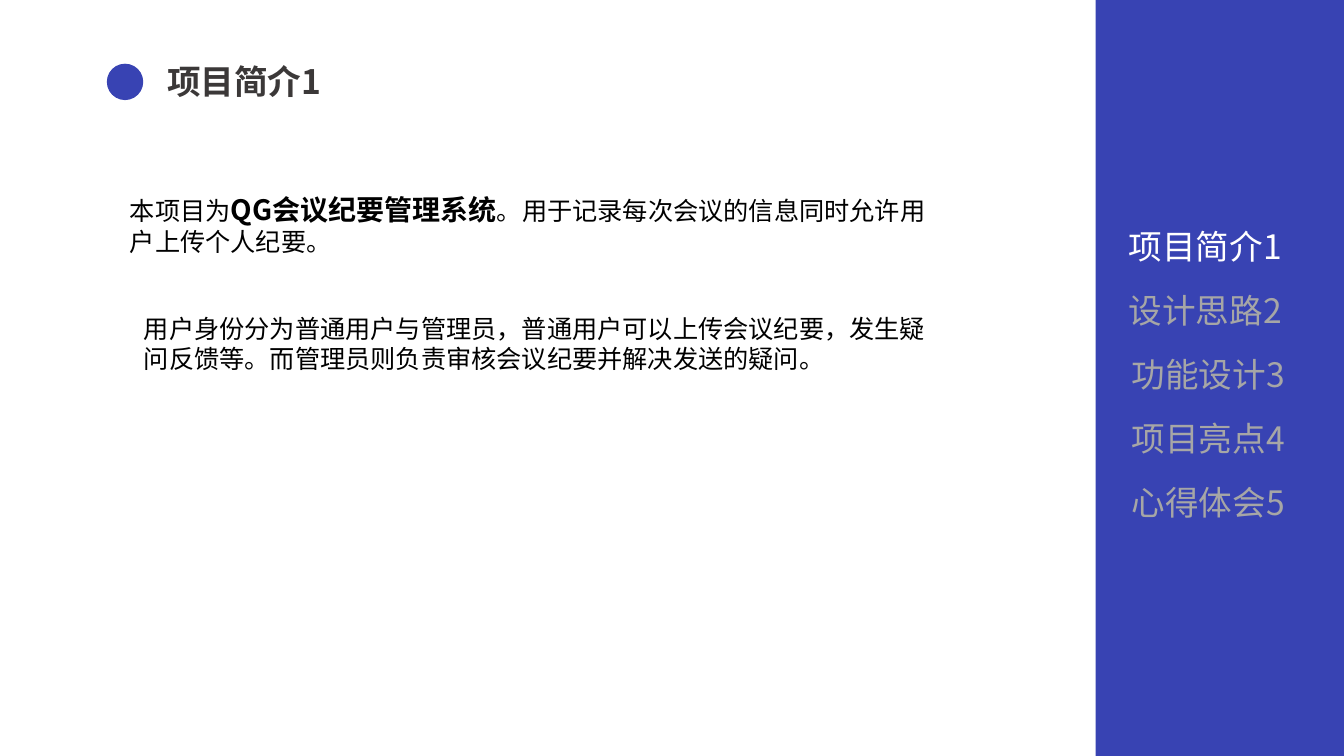
from collections import namedtuple
from dataclasses import dataclass

from lxml.etree import SubElement
from pptx import Presentation
from pptx.dml.color import RGBColor
from pptx.enum.shapes import MSO_SHAPE as Preset
from pptx.enum.text import MSO_AUTO_SIZE as AutoSize
from pptx.oxml.ns import qn
from pptx.util import Pt

Box = namedtuple("Box", "left top width height")


@dataclass(frozen=True)
class Theme:
    font: str = "Noto Sans CJK SC"
    accent: str = "3843B3"
    heading: str = "3B3838"
    body: str = "000000"
    active: str = "FFFFFF"
    inactive: str = "A6A6A6"
    heading_size: int = 24
    emphasis_size: int = 20
    body_size: int = 18


THEME = Theme()


def add_filled(slide, preset, box, color):
    shape = slide.shapes.add_shape(preset, *map(Pt, box))
    shape.shadow.inherit = False
    shape.fill.solid()
    shape.fill.fore_color.rgb = RGBColor.from_string(color)
    shape.line.fill.background()


def add_text(slide, box, pieces, color):
    frame = slide.shapes.add_textbox(*map(Pt, box)).text_frame
    for name, value in {"word_wrap": True, "auto_size": AutoSize.SHAPE_TO_FIT_TEXT}.items():
        setattr(frame, name, value)
    for wording, size, bold in pieces:
        run = frame.paragraphs[0].add_run()
        run.text = wording
        run.font.color.rgb = RGBColor.from_string(color)
        for name, value in {"name": THEME.font, "size": Pt(size), "bold": bold}.items():
            setattr(run.font, name, value)
        SubElement(run.font._element, qn("a:ea"), typeface=THEME.font)


def add_sidebar(slide, box, sections, current):
    add_filled(slide, Preset.RECTANGLE, box, THEME.accent)
    for index, section in enumerate(sections):
        indent = 16.6 if index < 2 else 18.7
        entry = Box(box.left + indent, box.top + 157.7 + 45.7 * index, 140.4, 36)
        color = THEME.active if section == current else THEME.inactive
        add_text(slide, entry, [(section, THEME.heading_size, False)], color)


def add_heading(slide, box, title):
    add_filled(slide, Preset.OVAL, Box(box.left, box.top + 5.2, 26, 26), THEME.accent)
    title_box = Box(box.left + 36, box.top, box.width - 36, box.height)
    add_text(slide, title_box, [(title, THEME.heading_size, True)], THEME.heading)


def add_introduction(slide, box):
    purpose = [
        ("本项目为", THEME.body_size, False),
        ("QG会议纪要管理系统", THEME.emphasis_size, True),
        ("。用于记录每次会议的信息同时允许用户上传个人纪要。", THEME.body_size, False),
    ]
    roles = [(
        "用户身份分为普通用户与管理员，普通用户可以上传会议纪要，发生疑问反馈等。"
        "而管理员则负责审核会议纪要并解决发送的疑问。",
        THEME.body_size, False,
    )]
    add_text(slide, Box(box.left, box.top, box.width, 53.3), purpose, THEME.body)
    roles_box = Box(box.left + 10, box.top + 86.4, box.width - 10, 51)
    add_text(slide, roles_box, roles, THEME.body)


def main():
    deck = Presentation()
    for name, value in {"slide_width": Pt(960), "slide_height": Pt(540)}.items():
        setattr(deck, name, value)
    slide = deck.slides.add_slide(deck.slide_layouts[6])
    sections = ["项目简介1", "设计思路2", "功能设计3", "项目亮点4", "心得体会5"]
    current = sections[0]
    add_sidebar(slide, Box(782.6, 0, 177.4, 540), sections, current)
    add_heading(slide, Box(76.3, 40.3, 245.5, 36), current)
    add_introduction(slide, Box(85.7, 133.9, 586, 137.4))
    deck.save("out.pptx")


if __name__ == "__main__":
    main()
